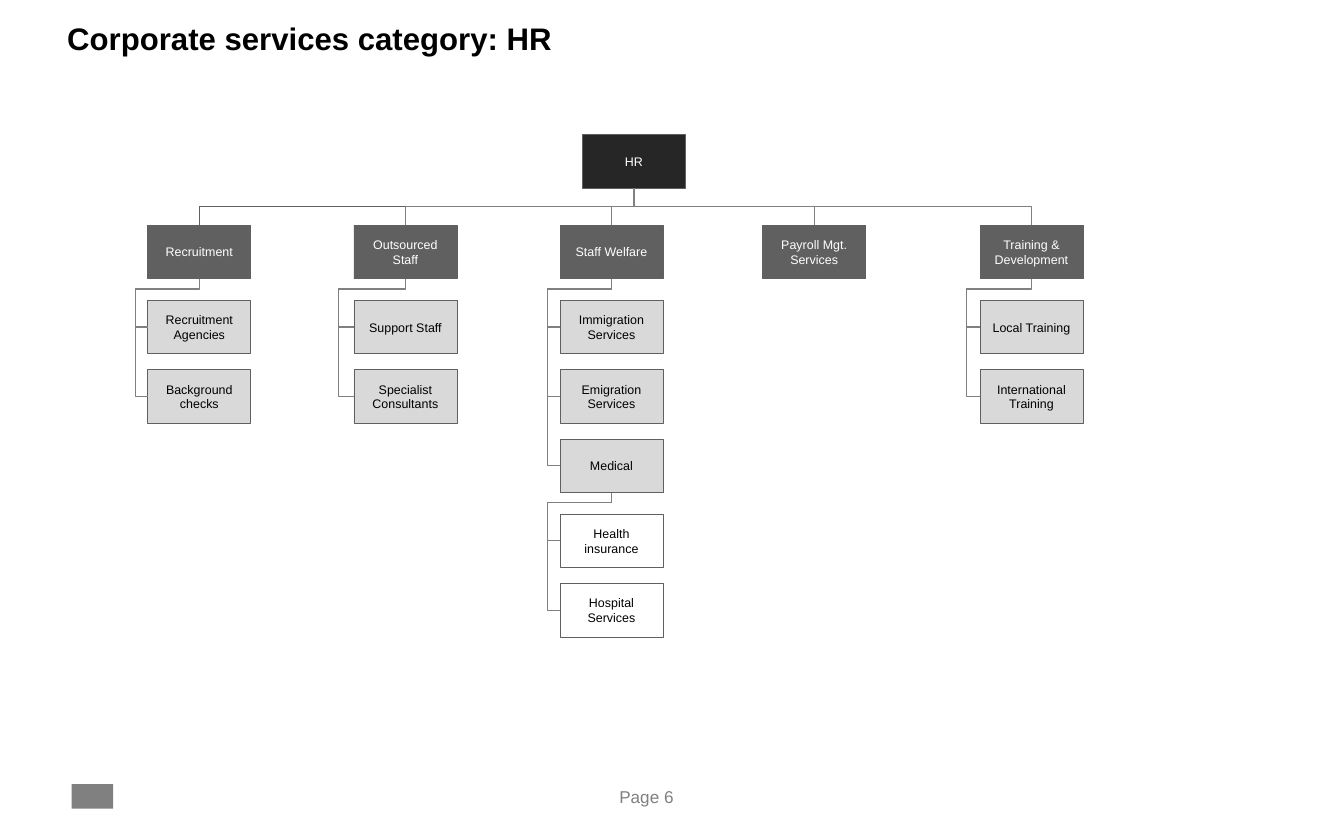
from lxml.etree import SubElement
from pptx import Presentation
from pptx.dml.color import RGBColor
from pptx.enum.shapes import MSO_CONNECTOR as CONN, MSO_SHAPE as SHAPE
from pptx.enum.text import MSO_ANCHOR as ANCHOR, PP_ALIGN as ALIGN
from pptx.oxml.ns import qn
from pptx.util import Inches, Pt

TITLE = "Corporate services category: HR"
ROOT = "HR"
# category, left, indent of its branch line, children as (name, children)
CATEGORIES = [
    ("Recruitment", 1.32, 0.11, [("Recruitment Agencies", []), ("Background checks", [])]),
    ("Outsourced Staff", 3.16, 0.14, [("Support Staff", []), ("Specialist Consultants", [])]),
    ("Staff Welfare", 5.0, 0.11, [
        ("Immigration Services", []),
        ("Emigration Services", []),
        ("Medical", [("Health insurance", []), ("Hospital Services", [])]),
    ]),
    ("Payroll Mgt. Services", 6.81, 0.11, []),
    ("Training & Development", 8.75, 0.12,
     [("Local Training", []), ("International Training", [])]),
]

COLORS = {"root": "262626", "category": "606060", "child": "D9D9D9", "edge": "606060",
          "line": "808080", "white": "FFFFFF", "black": "000000"}
# fill and text colour for each level of the tree
LEVELS = [("root", "white"), ("category", "white"), ("child", "black"), (None, "black")]

BOX_W, BOX_H = 0.92, 0.48
ROOT_LEFT, ROOT_TOP, CATEGORY_TOP = 5.2, 1.2, 2.01
CHILD_GAP, CHILD_PITCH, BRANCH_DROP = 0.19, 0.62, 0.09


def rgb(name):
    return RGBColor.from_string(COLORS[name])


def write(tf, text, *, size, color, bold=False, align=ALIGN.LEFT, anchor=ANCHOR.TOP,
          spacing=None, inset=None):
    tf.word_wrap = True
    tf.vertical_anchor = anchor
    if inset is not None:
        tf.margin_left = tf.margin_right = tf.margin_top = tf.margin_bottom = Inches(inset)
    p = tf.paragraphs[0]
    p.alignment, p.line_spacing = align, spacing
    r = p.add_run()
    r.text = text
    r.font.name, r.font.size, r.font.bold = "Arial", Pt(size), bold
    r.font.color.rgb = rgb(color)


def add_box(slide, text, left, top, level):
    fill, color = LEVELS[level]
    sp = slide.shapes.add_shape(SHAPE.RECTANGLE, *map(Inches, (left, top, BOX_W, BOX_H)))
    sp.shadow.inherit = False
    if fill:
        sp.fill.solid()
        sp.fill.fore_color.rgb = rgb(fill)
    else:
        sp.fill.background()
    sp.line.color.rgb, sp.line.width = rgb("edge"), Pt(0.5)
    write(sp.text_frame, text, size=8, color=color, align=ALIGN.CENTER, anchor=ANCHOR.MIDDLE)
    return sp


def link(slide, parent, child, *, side, indent=None, color="line"):
    """Elbow from the parent's bottom to a side of the child; an indent makes it a branch line."""
    c = slide.shapes.add_connector(CONN.ELBOW, 0, 0, 0, 0)
    c.begin_connect(parent, 2)
    c.end_connect(child, side)
    dx, dy = c.end_x - c.begin_x, c.end_y - c.begin_y
    mid_x, mid_y = (c.begin_x + c.end_x) // 2, (c.begin_y + c.end_y) // 2
    # the preset starts sideways, so it is laid out flat and turned to start downwards
    c.width, c.height = dy, abs(dx)
    c.left, c.top = mid_x - dy // 2, mid_y - abs(dx) // 2
    pr = c._element.spPr
    xfrm, geom = pr.find(qn("a:xfrm")), pr.find(qn("a:prstGeom"))
    xfrm.set("rot", str((270 if dx > 0 else 90) * 60000))
    xfrm.set("flipH", "1" if dx > 0 else "0")
    xfrm.set("flipV", "0")
    if indent is not None:
        geom.set("prst", "bentConnector4")
        guides = geom.find(qn("a:avLst"))
        ratios = (Inches(BRANCH_DROP) / dy, 1 + Inches(indent) / abs(dx))
        for i, ratio in enumerate(ratios, 1):
            SubElement(guides, qn("a:gd"), name=f"adj{i}", fmla=f"val {round(ratio * 100000)}")
    c.line.color.rgb, c.line.width = rgb(color), Pt(0.75)
    SubElement(pr, qn("a:effectLst"))


def add_children(slide, parent, children, left, top, indent, level=2):
    """Stack the children under a parent whose top is given, and go down the tree."""
    for i, (name, below) in enumerate(children):
        child_top = top + BOX_H + CHILD_GAP + i * CHILD_PITCH
        child = add_box(slide, name, left, child_top, level)
        link(slide, parent, child, side=1, indent=indent)
        add_children(slide, child, below, left, child_top, indent, level + 1)


def main():
    prs = Presentation()
    prs.slide_width, prs.slide_height = Inches(12), Inches(7.5)
    slide = prs.slides.add_slide(prs.slide_layouts[5])

    title = slide.shapes.title
    title.left, title.top, title.width, title.height = map(Inches, (0.6, 0.22, 10.8, 0.4))
    write(title.text_frame, TITLE, size=20, color="black", bold=True, spacing=0.85, inset=0)

    root = add_box(slide, ROOT, ROOT_LEFT, ROOT_TOP, 0)
    for i, (name, left, indent, children) in enumerate(CATEGORIES):
        category = add_box(slide, name, left, CATEGORY_TOP, 1)
        link(slide, root, category, side=0, color="line" if i else "edge")
        add_children(slide, category, children, left, CATEGORY_TOP, indent)

    mark = slide.shapes.add_shape(SHAPE.RECTANGLE, *map(Inches, (0.64, 7, 0.37, 0.22)))
    mark.shadow.inherit = False
    mark.fill.solid()
    mark.fill.fore_color.rgb = rgb("line")
    mark.line.fill.background()

    page = slide.shapes.add_textbox(*map(Inches, (5.53, 7.02, 0.94, 0.22)))
    write(page.text_frame, "Page 6", size=11, color="line", inset=0)
    prs.save("out.pptx")


if __name__ == "__main__":
    main()
